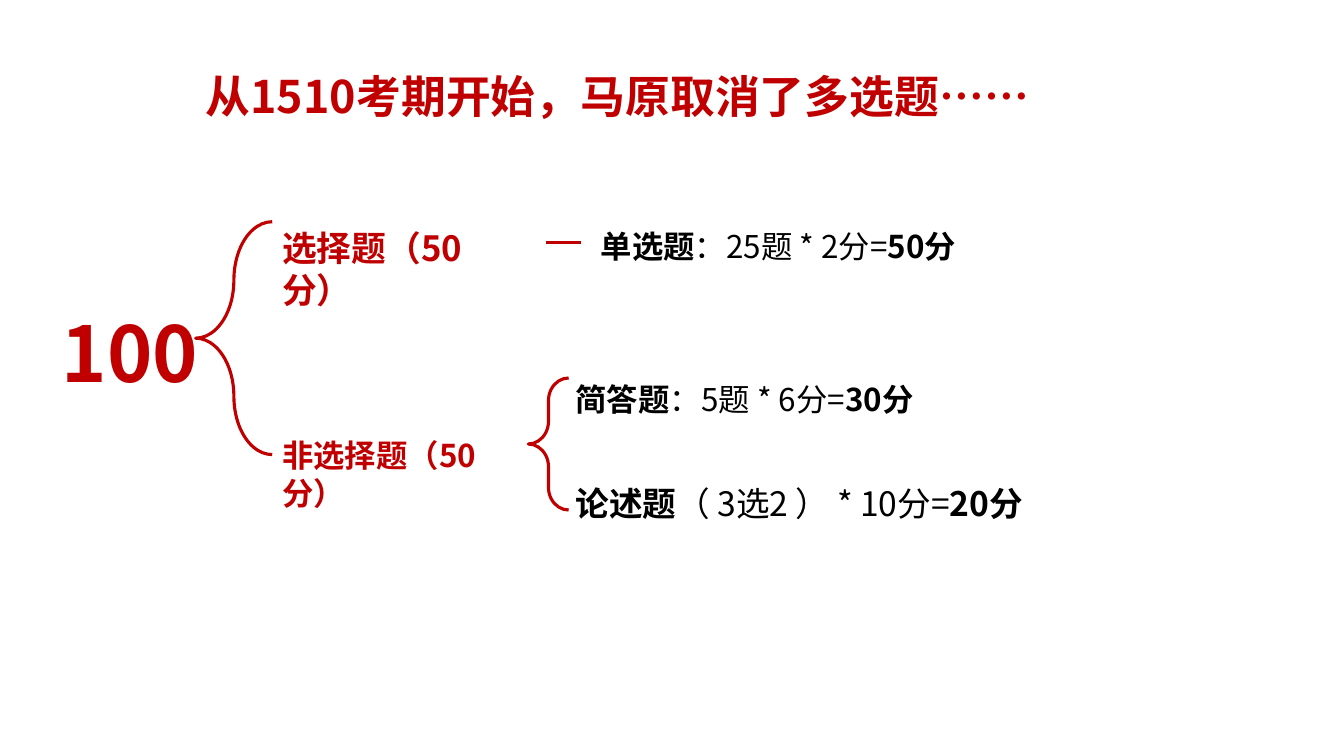
from dataclasses import dataclass

from lxml import etree
from pptx import Presentation
from pptx import util as u
from pptx.dml.color import RGBColor
from pptx.enum import shapes, text
from pptx.oxml.ns import qn


@dataclass(frozen=True)
class Theme:
    red: str = "C00000"
    outline: str = "D73A36"
    black: str = "000000"
    font: str = "Noto Sans CJK SC"
    total_font: str = "Noto Sans CJK JP"
    title: float = 32
    total: float = 55
    choice: float = 24.8
    essay: float = 24
    body: float = 22.4
    line: float = 2.25


T = Theme()


def write(sp, runs, size, color=T.red, font=T.font, align=text.PP_ALIGN.LEFT):
    tf = sp.text_frame
    tf.word_wrap = True
    tf.auto_size = text.MSO_AUTO_SIZE.NONE
    tf.vertical_anchor = text.MSO_ANCHOR.TOP
    p = tf.paragraphs[0]
    p.alignment = align
    for i, words in enumerate(runs):
        r = p.add_run()
        r.text = words
        r.font.size = u.Pt(size)
        r.font.bold = i % 2 == 0
        r.font.color.rgb = RGBColor.from_string(color)
        r.font.name = font
        ea = etree.SubElement(r.font._element, qn("a:ea"))
        ea.set("typeface", font)
    return p


prs = Presentation()
prs.slide_width = u.Inches(13.33)
prs.slide_height = u.Inches(7.5)
s = prs.slides.add_slide(prs.slide_layouts[5])

title = s.shapes.title
title.left, title.top = u.Inches(1.94), u.Inches(0.63)
title.width, title.height = u.Inches(8.43), u.Inches(0.64)
write(title, ["从1510考期开始，马原取消了多选题……"], T.title)

labels = [
    (2.7, 2.2, 2.47, ["选择题（50分）"], T.choice, T.red),
    (2.7, 4.28, 2.62, ["非选择题（50分）"], T.body, T.red),
    (5.86, 2.2, 4.27, ["单选题", "：25题 * 2分=", "50分"], T.body, T.black),
    (5.61, 3.72, 4.01, ["简答题", "：5题 * 6分=", "30分"], T.body, T.black),
    (5.61, 4.74, 5.51, ["论述题", "（ 3选2 ） * 10分=", "20分"], T.essay, T.black),
]
for x, y, w, runs, size, color in labels:
    box = s.shapes.add_textbox(u.Inches(x), u.Inches(y), u.Inches(w), u.Inches(0.61))
    write(box, runs, size, color)

braces = [(1.94, 2.2, 0.76, 2.31, 0.761), (5.24, 3.75, 0.4, 1.31, 0.563)]
for x, y, w, h, curve in braces:
    brace = s.shapes.add_shape(
        shapes.MSO_SHAPE.LEFT_BRACE, u.Inches(x), u.Inches(y), u.Inches(w), u.Inches(h)
    )
    brace.shadow.inherit = False
    brace.adjustments[0] = curve
    brace.fill.background()
    brace.line.color.rgb = RGBColor.from_string(T.red)
    brace.line.width = u.Pt(T.line)

dash = s.shapes.add_connector(
    shapes.MSO_CONNECTOR.STRAIGHT,
    u.Inches(5.42), u.Inches(2.41), u.Inches(5.76), u.Inches(2.41),
)
dash.line.color.rgb = RGBColor.from_string(T.red)
dash.line.width = u.Pt(T.line)
etree.SubElement(dash._element.spPr, qn("a:effectLst"))

total = s.shapes.add_textbox(u.Inches(0.01), u.Inches(2.98), u.Inches(2.56), u.Inches(1.02))
p = write(total, ["100"], T.total, font=T.total_font, align=text.PP_ALIGN.CENTER)
ln = etree.Element(qn("a:ln"), w=str(u.Pt(1.42)))
fill = etree.SubElement(ln, qn("a:solidFill"))
etree.SubElement(fill, qn("a:srgbClr"), val=T.outline)
p.runs[0].font._element.insert(0, ln)

prs.save("out.pptx")
